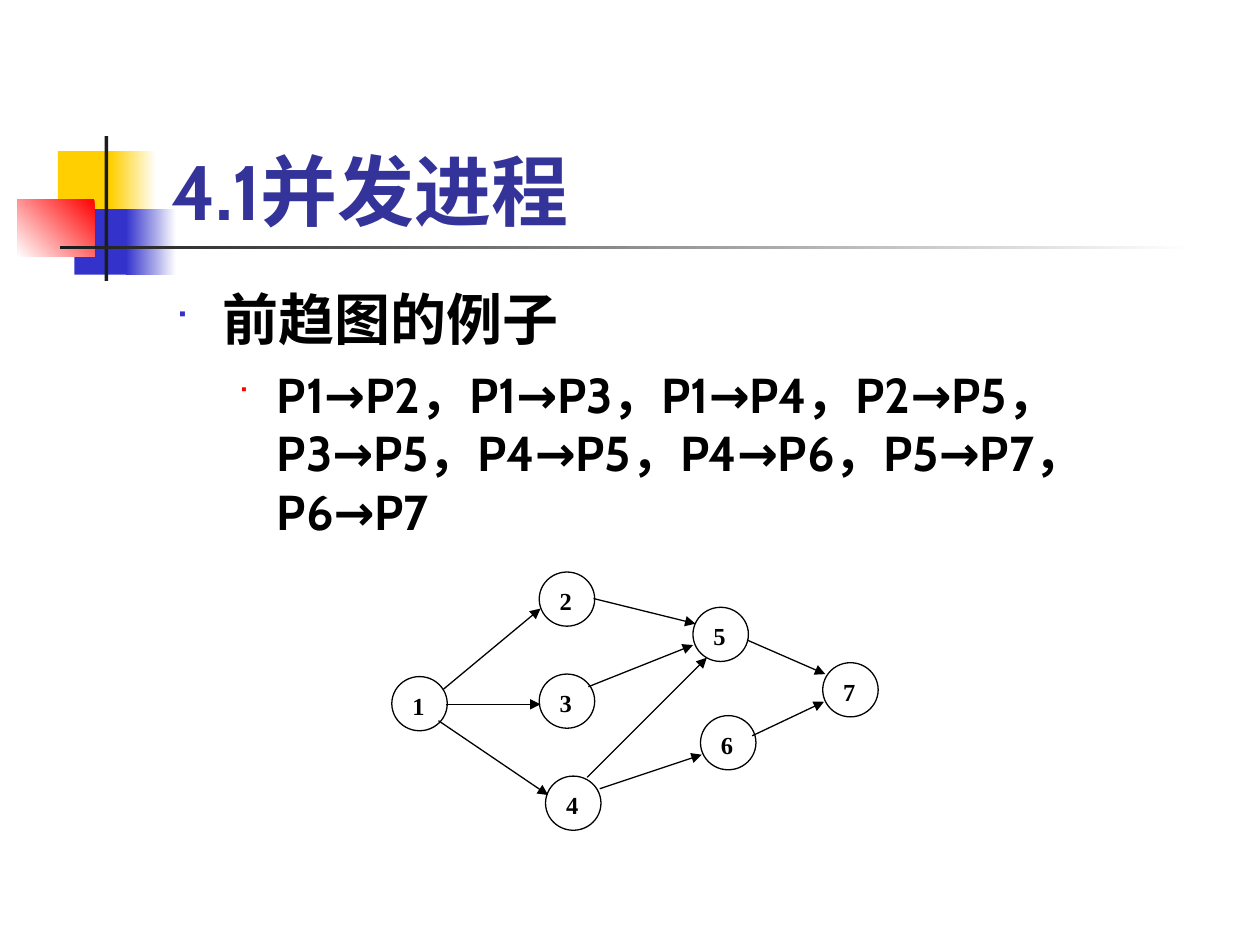
from dataclasses import dataclass

from lxml import etree
from pptx import Presentation
from pptx import util as u
from pptx.dml.color import RGBColor
from pptx.enum import shapes, text
from pptx.oxml.ns import qn


@dataclass(frozen=True)
class Theme:
    yellow: str = "FFCF01"
    blue: str = "3333CC"
    red: str = "FF0000"
    dark: str = "1C1C1C"
    white: str = "FFFFFF"
    black: str = "000000"
    title_color: str = "333399"
    font: str = "Cabin"
    node_font: str = "Times New Roman"
    title_size: int = 44
    body_size: int = 32
    detail_size: int = 28
    node_size: int = 14
    line_width: float = 0.75


THEME = Theme()
SLIDE_WIDTH, SLIDE_HEIGHT = u.Inches(10), u.Inches(7.5)
CELL = SLIDE_WIDTH / 100  # the grid has 100 columns and 75 rows


@dataclass(frozen=True)
class Box:
    """A region of the grid, in columns and rows."""
    left: float
    top: float
    width: float
    height: float

    def point(self, column, row):
        return round((self.left + column) * CELL), round((self.top + row) * CELL)

    def place(self, column, row, width, height):
        return (*self.point(column, row), round(width * CELL), round(height * CELL))

    def whole(self):
        return self.place(0, 0, self.width, self.height)


def rgb(color):
    return RGBColor.from_string(color)


def add_plain_shape(slide, kind, place, color):
    shape = slide.shapes.add_shape(kind, *place)
    shape.shadow.inherit = False
    shape.fill.solid()
    shape.fill.fore_color.rgb = rgb(color)
    shape.line.fill.background()
    return shape


def set_gradient(shape, colors, angle):
    shape.fill.gradient()
    shape.fill.gradient_angle = angle
    for stop, color in zip(shape.fill.gradient_stops, colors):
        stop.color.rgb = rgb(color)


def format_runs(paragraph, font, size, color):
    for run in paragraph.runs:
        run.font.name = font
        run.font.size = u.Pt(size)
        run.font.bold = True
        run.font.color.rgb = rgb(color)


def add_bullet(paragraph, color, percent, margin, hanging):
    properties = paragraph._p.get_or_add_pPr()
    properties.set("marL", str(u.Inches(margin)))
    properties.set("indent", str(-u.Inches(hanging)))
    bullet_color = etree.SubElement(properties, qn("a:buClr"))
    etree.SubElement(bullet_color, qn("a:srgbClr"), val=color)
    etree.SubElement(properties, qn("a:buSzPct"), val=str(percent * 1000))
    etree.SubElement(properties, qn("a:buFont"), typeface="Wingdings")
    etree.SubElement(properties, qn("a:buChar"), char="■")


def add_decoration(slide, box):
    # Column, row, width, height, colours, gradient angle
    blocks = [
        (3.2, 1.2, 4.8, 5.2, [THEME.yellow], None),
        (7.4, 1.2, 3.6, 5.2, [THEME.white, THEME.yellow], 180),
        (4.5, 5.8, 4.6, 5.2, [THEME.blue], None),
        (8.6, 5.8, 4, 5.2, [THEME.white, THEME.blue], 180),
        (0, 5, 6.1, 4.6, [THEME.red, THEME.white], 225),
        (6.9, 0, 0.3, 11.5, [THEME.dark], None),
        (3.4, 8.7, 90, 0.3, [THEME.white, THEME.dark], 180),
    ]
    for *place, colors, angle in blocks:
        shape = add_plain_shape(slide, shapes.MSO_SHAPE.RECTANGLE,
                                box.place(*place), colors[0])
        if angle is not None:
            set_gradient(shape, colors, angle)


def add_title(slide, box):
    frame = slide.shapes.add_textbox(*box.whole()).text_frame
    frame.word_wrap = True
    frame.vertical_anchor = text.MSO_ANCHOR.BOTTOM
    frame.text = "4.1并发进程"
    format_runs(frame.paragraphs[0], THEME.font, THEME.title_size, THEME.title_color)


def add_body(slide, box):
    frame = slide.shapes.add_textbox(*box.whole()).text_frame
    frame.word_wrap = True
    relations = "P1→P2，P1→P3，P1→P4，P2→P5，P3→P5，P4→P5，P4→P6，P5→P7，P6→P7"
    frame.text = "前趋图的例子\n" + relations
    # Type size, space before, then bullet colour, percent, margin, hanging
    levels = [
        (THEME.body_size, 8, THEME.blue, 60, 0.38, 0.38),
        (THEME.detail_size, 7, THEME.red, 55, 0.81, 0.31),
    ]
    for level, (paragraph, (size, space, *bullet)) in enumerate(
            zip(frame.paragraphs, levels)):
        paragraph.level = level
        paragraph.space_before = u.Pt(space)
        add_bullet(paragraph, *bullet)
        format_runs(paragraph, THEME.font, size, THEME.black)


def add_node(slide, place, label):
    node = add_plain_shape(slide, shapes.MSO_SHAPE.OVAL, place, THEME.white)
    node.line.color.rgb = rgb(THEME.black)
    node.line.width = u.Pt(THEME.line_width)
    frame = node.text_frame
    frame.vertical_anchor = text.MSO_ANCHOR.TOP
    frame.text = label
    frame.paragraphs[0].alignment = text.PP_ALIGN.JUSTIFY
    format_runs(frame.paragraphs[0], THEME.node_font, THEME.node_size, THEME.black)


def add_arrow(slide, start, end):
    arrow = slide.shapes.add_connector(shapes.MSO_CONNECTOR.STRAIGHT, *start, *end)
    arrow.line.color.rgb = rgb(THEME.black)
    arrow.line.width = u.Pt(THEME.line_width)
    etree.SubElement(arrow.line._get_or_add_ln(), qn("a:tailEnd"), type="triangle")
    etree.SubElement(arrow._element.spPr, qn("a:effectLst"))


def add_precedence_graph(slide, box):
    # Top left corner of each process node
    nodes = {
        "1": (0, 8.3), "4": (12.2, 16.2), "3": (11.7, 8.1), "2": (11.7, 0),
        "6": (24.5, 11.4), "5": (23.9, 2.8), "7": (34.2, 7.2),
    }
    for label, corner in nodes.items():
        add_node(slide, box.place(*corner, 4.4, 4.3), label)
    # Start and end of each arrow
    arrows = [
        ((4.1, 9.3), (11.8, 2.9)),    # 1 to 2
        ((4.3, 10.5), (11.8, 10.5)),  # 1 to 3
        ((3.7, 11.8), (12.4, 17.7)),  # 1 to 4
        ((16.5, 17.2), (24.6, 14.5)),  # 4 to 6
        ((15.6, 9.1), (23.9, 5.8)),   # 3 to 5
        ((16, 2.1), (24.1, 4.1)),     # 2 to 5
        ((28.2, 5.4), (34.4, 8.1)),   # 5 to 7
        ((28.6, 13), (34.3, 10.3)),   # 6 to 7
        ((15.5, 16.3), (25, 6.8)),    # 4 to 5
    ]
    for start, end in arrows:
        add_arrow(slide, box.point(*start), box.point(*end))


def main():
    presentation = Presentation()
    presentation.slide_width, presentation.slide_height = SLIDE_WIDTH, SLIDE_HEIGHT
    slide = presentation.slides.add_slide(presentation.slide_layouts[6])
    add_decoration(slide, Box(1.4, 10.8, 93.4, 11.5))
    add_title(slide, Box(12.6, 6.7, 85.2, 12.5))
    add_body(slide, Box(12.9, 22.1, 85, 45))
    add_precedence_graph(slide, Box(31.1, 45.4, 38.6, 20.5))
    presentation.save("out.pptx")


if __name__ == "__main__":
    main()
